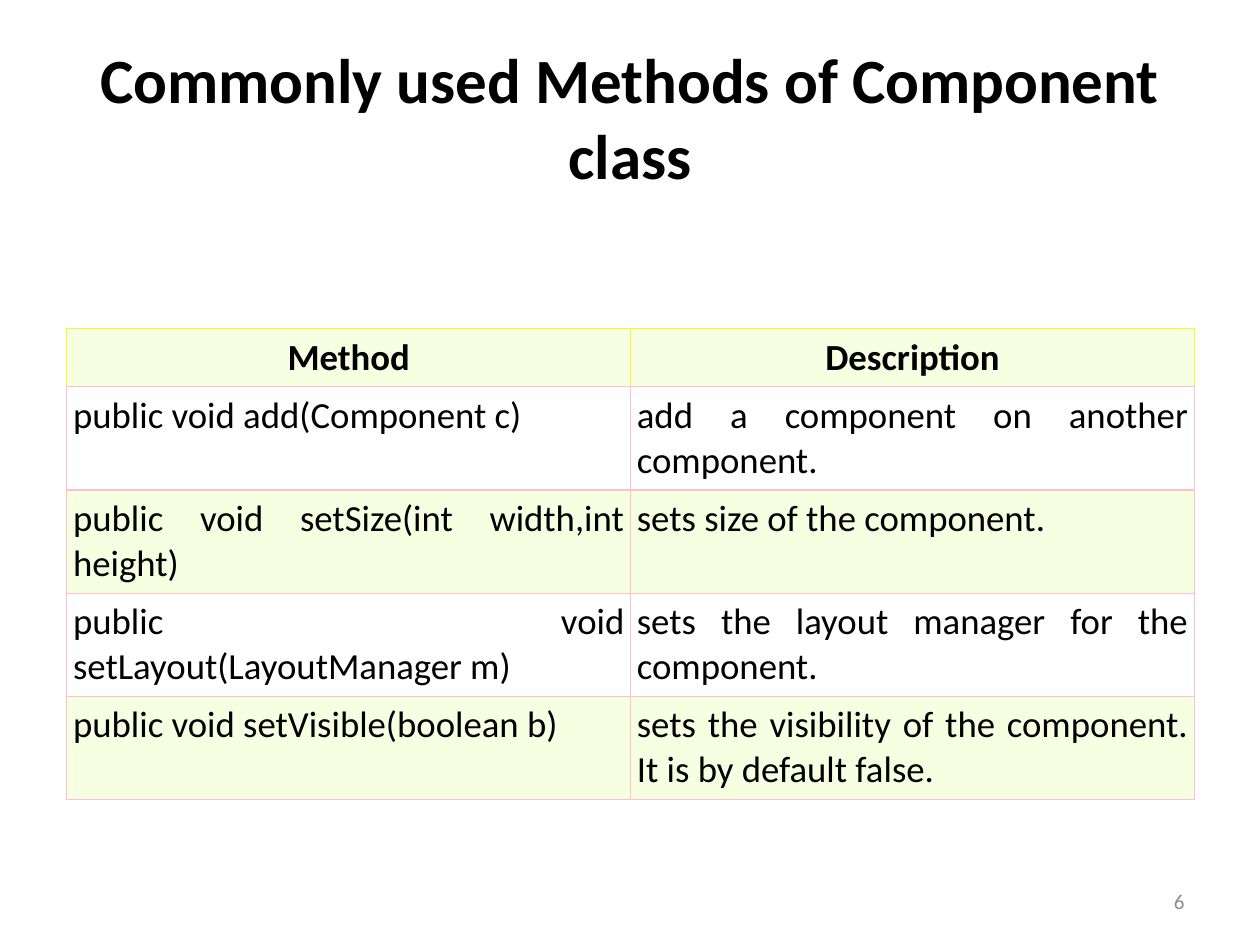
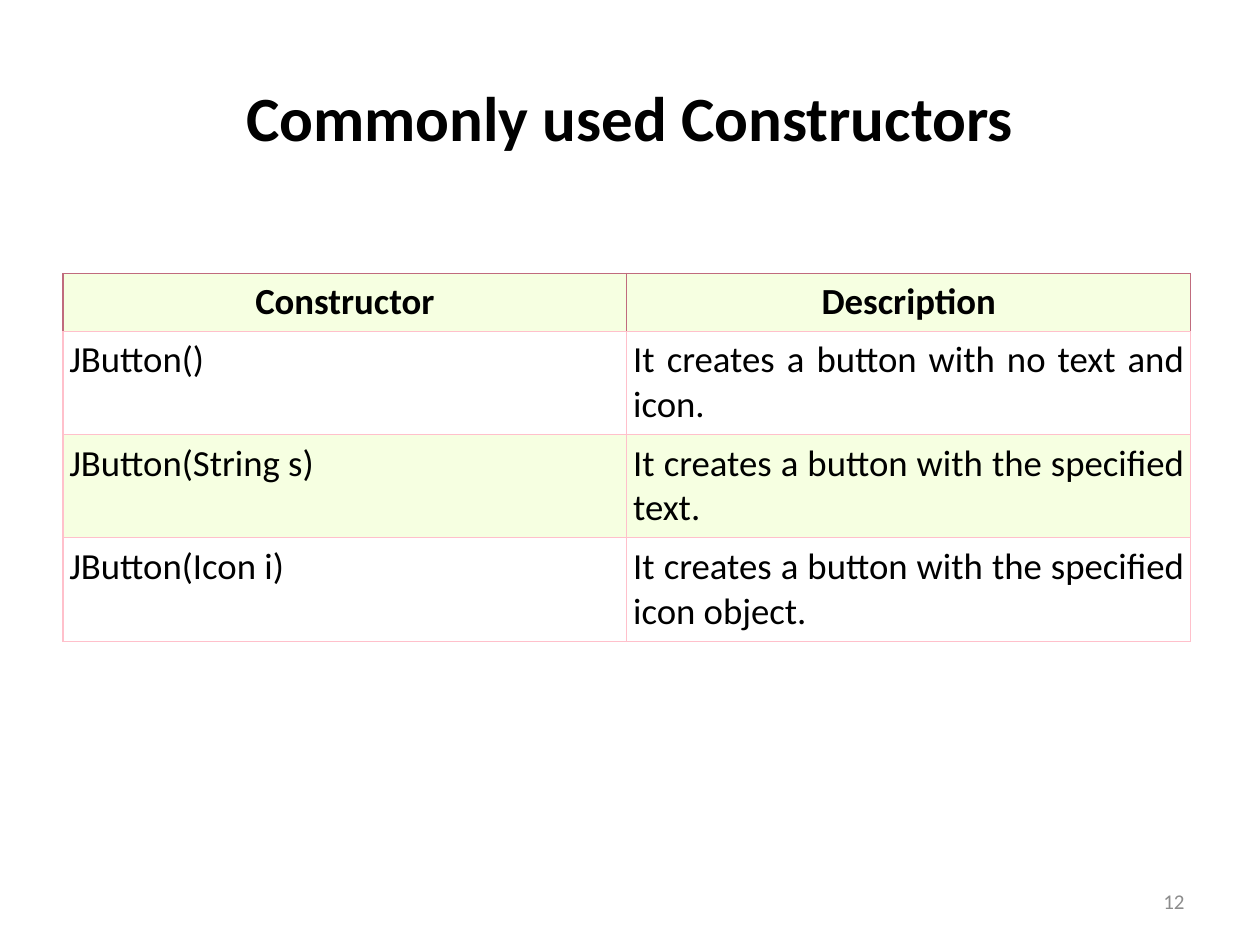
import pptx
import pptx.util
import pptx.dml.color
import pptx.enum.text
import pptx.oxml
import pptx.oxml.ns

Inches = pptx.util.Inches
Pt = pptx.util.Pt
RGBColor = pptx.dml.color.RGBColor
ALIGN = pptx.enum.text.PP_ALIGN
ANCHOR = pptx.enum.text.MSO_ANCHOR

FONT = "Calibri"
BLACK = RGBColor(0x00, 0x00, 0x00)
GREY = RGBColor(0x8C, 0x8C, 0x8C)
WHITE = RGBColor(0xFF, 0xFF, 0xFF)
PALE_GREEN = RGBColor(0xF6, 0xFF, 0xE1)
PINK = RGBColor(0xFF, 0xC0, 0xCB)
YELLOW = RGBColor(0xF0, 0xFE, 0x27)
ROSE = RGBColor(0xC0, 0x6B, 0x7D)

TITLE_BOX = (0.5, 0.3, 9, 1.25)
NUMBER_BOX = (7.17, 6.95, 2.33, 0.4)
TABLE_WIDTH = 8.95
HEADER_HEIGHT, BODY_HEIGHT = 0.46, 0.82
CELL_MARGIN = 0.05
BORDER_WIDTH = 0.75

SLIDES = [
    {
        "title": "Commonly used Methods of Component class",
        "number": "6",
        "table_at": (0.53, 2.61),
        "header_border": YELLOW,
        "rows": [
            ("Method", "Description"),
            ("public void add(Component c)",
             "add a component on another component."),
            ("public void setSize(int width,int height)",
             "sets size of the component."),
            ("public void setLayout(LayoutManager m)",
             "sets the layout manager for the component."),
            ("public void setVisible(boolean b)",
             "sets the visibility of the component. It is by default false."),
        ],
    },
    {
        "title": "Commonly used Constructors",
        "number": "12",
        "table_at": (0.5, 2.17),
        "header_border": ROSE,
        "rows": [
            ("Constructor", "Description"),
            ("JButton()", "It creates a button with no text and icon."),
            ("JButton(String s)",
             "It creates a button with the specified text."),
            ("JButton(Icon i)",
             "It creates a button with the specified icon object."),
        ],
    },
]


def write(frame, text, size=21, color=BLACK, bold=False, align=ALIGN.CENTER):
    """Put one formatted paragraph into a text frame."""
    frame.word_wrap = True
    paragraph = frame.paragraphs[0]
    paragraph.alignment = align
    run = paragraph.add_run()
    run.text = text
    run.font.name = FONT
    run.font.size = Pt(size)
    run.font.bold = bold
    run.font.color.rgb = color


def add_label(slide, box, text, **text_format):
    """Add a vertically centred text box."""
    frame = slide.shapes.add_textbox(*map(Inches, box)).text_frame
    frame.vertical_anchor = ANCHOR.MIDDLE
    write(frame, text, **text_format)


def set_borders(cell, outer, bottom):
    """Draw the left, right and top edges in one colour, the bottom in another."""
    properties = cell._tc.get_or_add_tcPr()
    for side, color in zip("LRTB", (outer, outer, outer, bottom)):
        properties.append(pptx.oxml.parse_xml(
            f'<a:ln{side} {pptx.oxml.ns.nsdecls("a")} w="{Pt(BORDER_WIDTH)}">'
            f'<a:solidFill><a:srgbClr val="{color}"/></a:solidFill>'
            f'</a:ln{side}>'))


def add_reference_table(slide, position, rows, header_border):
    """Add a table with a bold header and alternately shaded rows."""
    heights = [HEADER_HEIGHT] + [BODY_HEIGHT] * (len(rows) - 1)
    left, top = position
    table = slide.shapes.add_table(
        len(rows), len(rows[0]), Inches(left), Inches(top),
        Inches(TABLE_WIDTH), Inches(sum(heights))).table
    for r, (row, height) in enumerate(zip(rows, heights)):
        table.rows[r].height = Inches(height)
        is_header = r == 0
        for c, text in enumerate(row):
            cell = table.cell(r, c)
            cell.margin_left = cell.margin_right = Inches(CELL_MARGIN)
            cell.margin_top = cell.margin_bottom = Inches(CELL_MARGIN)
            set_borders(cell, header_border if is_header else PINK, PINK)
            cell.fill.solid()
            cell.fill.fore_color.rgb = WHITE if r % 2 else PALE_GREEN
            write(cell.text_frame, text, bold=is_header,
                  align=ALIGN.CENTER if is_header else ALIGN.JUSTIFY)


def build():
    """Build and save the presentation."""
    deck = pptx.Presentation()
    deck.slide_width, deck.slide_height = Inches(10), Inches(7.5)
    for content in SLIDES:
        slide = deck.slides.add_slide(deck.slide_layouts[6])
        add_label(slide, TITLE_BOX, content["title"], size=36, bold=True)
        add_reference_table(slide, content["table_at"], content["rows"],
                            content["header_border"])
        add_label(slide, NUMBER_BOX, content["number"], size=12, color=GREY,
                  align=ALIGN.RIGHT)
    deck.save("out.pptx")


build()
